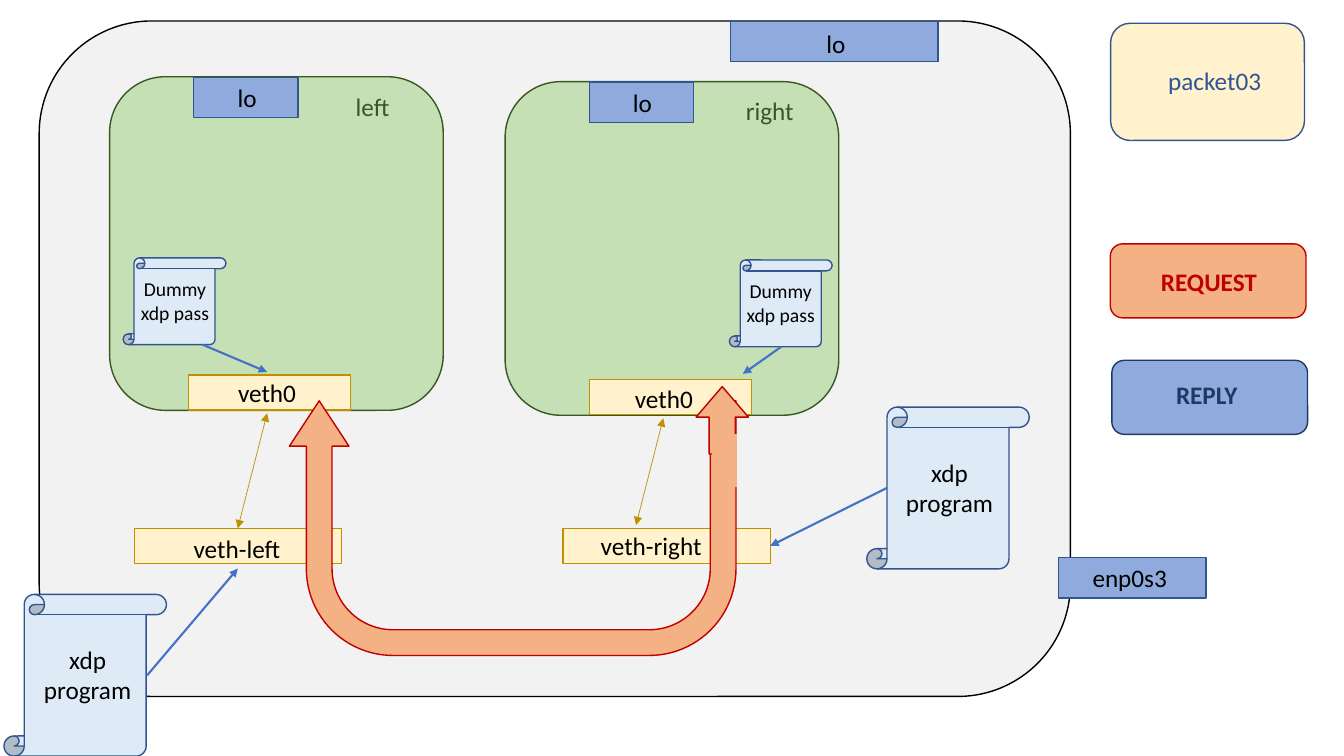
import pptx
import pptx.util
import pptx.dml.color
import pptx.enum.shapes
import pptx.enum.text
from lxml import etree

Pt = pptx.util.Pt
RGB = pptx.dml.color.RGBColor
MSO = pptx.enum.shapes.MSO_SHAPE
ALIGN = pptx.enum.text.PP_ALIGN
LEFT, CENTER = ALIGN.LEFT, ALIGN.CENTER

BLACK = RGB(0x00, 0x00, 0x00)
GREY = RGB(0xF2, 0xF2, 0xF2)
GREEN, DARK_GREEN = RGB(0xC5, 0xE0, 0xB4), RGB(0x38, 0x57, 0x23)
CREAM, GOLD = RGB(0xFF, 0xF2, 0xCC), RGB(0xBF, 0x90, 0x00)
BLUE, EDGE_BLUE = RGB(0x8F, 0xAA, 0xDC), RGB(0x32, 0x54, 0x91)
TEXT_BLUE, NAVY = RGB(0x2F, 0x55, 0x97), RGB(0x20, 0x38, 0x64)
PALE_BLUE, LINK_BLUE = RGB(0xDE, 0xEB, 0xF7), RGB(0x44, 0x72, 0xC4)
ORANGE, RED = RGB(0xF4, 0xB1, 0x83), RGB(0xC0, 0x00, 0x00)

# style: preset, fill, line, text colour, text size, bold, alignment
STYLES = {
    "host": (MSO.ROUNDED_RECTANGLE, GREY, BLACK, BLACK, 18, False, LEFT),
    "namespace": (MSO.ROUNDED_RECTANGLE, GREEN, DARK_GREEN, DARK_GREEN, 18, False, LEFT),
    "veth": (MSO.RECTANGLE, CREAM, GOLD, BLACK, 18, False, CENTER),
    "device": (MSO.RECTANGLE, BLUE, EDGE_BLUE, BLACK, 18, False, LEFT),
    "packet": (MSO.ROUNDED_RECTANGLE, CREAM, EDGE_BLUE, TEXT_BLUE, 18, False, CENTER),
    "request": (MSO.ROUNDED_RECTANGLE, ORANGE, RED, RED, 18, True, LEFT),
    "reply": (MSO.ROUNDED_RECTANGLE, BLUE, NAVY, NAVY, 18, True, LEFT),
    "program": (MSO.VERTICAL_SCROLL, PALE_BLUE, EDGE_BLUE, BLACK, 18, False, CENTER),
    "dummy": (MSO.VERTICAL_SCROLL, PALE_BLUE, EDGE_BLUE, BLACK, 14, False, CENTER),
}

PROGRAM, DUMMY = ("xdp", "program"), ("Dummy", "xdp pass")

# name, style, (left, top, width, height), text lines, text (left, top, width)
BOXES = [
    ("host", "host", (28, 15, 736.6, 482.5), (), None),
    ("left", "namespace", (78.3, 54.8, 238.3, 238.3), ("left",), (247, 62, 138.2)),
    ("left veth0", "veth", (134.7, 268, 115.7, 25), ("veth0",), (138.2, 265.8, 105.1)),
    ("veth-left", "veth", (95.9, 377.4, 147.9, 25), ("veth-left",), (108.7, 377.4, 121)),
    ("enp0s3", "device", (756.1, 398.4, 105.5, 28.8), ("enp0s3",), (773.3, 398.4, 71.3)),
    ("host lo", "device", (521.6, 15.3, 148.5, 28.8), ("lo",), (583.2, 16.7, 71.3)),
    ("left lo", "device", (138.4, 55.3, 74.4, 28.8), ("lo",), (162.7, 55.4, 41.8)),
    ("packet", "packet", (793.3, 16.6, 138.5, 83.7), ("packet03",), (810, 43.2, 115.2)),
    ("reply", "reply", (794.2, 257.4, 139.8, 52.9), ("REPLY",), (833, 267.4, 115.2)),
    ("request", "request", (793.1, 174.2, 139.8, 52.9), ("REQUEST",), (822.2, 186.5, 115.2)),
    ("right", "namespace", (360.8, 58.3, 238.3, 238.3), ("right",), (525.6, 64.3, 138.2)),
    ("right lo", "device", (421.1, 58.6, 74.4, 28.8), ("lo",), (445, 59, 41.8)),
    ("right veth0", "veth", (421.1, 271.2, 115.7, 25), ("veth0",), (412.6, 270, 123.1)),
    ("veth-right", "veth", (402.3, 377.4, 147.9, 25), ("veth-right",), (404.6, 375.1, 121)),
    ("right program", "program", (619.2, 290.8, 116, 115.5), PROGRAM, (635, 323.3, 86.4)),
    ("left dummy", "dummy", (88, 184.2, 73.4, 62), DUMMY, (92.2, 194.4, 65.5)),
    ("right dummy", "dummy", (521, 185.7, 73.4, 62), DUMMY, (524.9, 195.8, 65.5)),
    ("left program", "program", (2.9, 424.6, 116, 115.5), PROGRAM, (19.4, 456.5, 86.4)),
]

VETH_PAIR = (GOLD, 0.5, ("headEnd", "tailEnd"))
ATTACH = (LINK_BLUE, 1.5, ("tailEnd",))
# kind, from, to, (name of the box joined at the end, side)
LINKS = [
    (VETH_PAIR, (190.8, 295.2), (169.9, 377.4), ("veth-left", 0)),
    (VETH_PAIR, (473.8, 298.8), (454.3, 375.1), None),
    (ATTACH, (633.6, 348.5), (550.2, 389.9), ("veth-right", 3)),
    (ATTACH, (144.7, 246.2), (190.8, 265.7), None),
    (ATTACH, (558, 247.7), (530.6, 267.1), None),
    (ATTACH, (105.1, 482.4), (169.9, 406.1), None),
]

# preset, (left, top, width, height), rotation, adjustments, line
REQUEST_ROUTE = [
    (MSO.U_TURN_ARROW, (206.7, 286.3, 319, 181.9), 180, (0.101, 0.117, 0.178, 0.341, 1), RED),
    (MSO.RIGHT_ARROW, (491.8, 281.5, 48.2, 37.4), 270, (0.5, 0.583), RED),
    (MSO.FLOWCHART_PROCESS, (508.3, 310.3, 18, 37.4), 0, (), None),
]


def add_shape(s, preset, frame, fill, line):
    sp = s.shapes.add_shape(preset, *map(Pt, frame))
    sp.shadow.inherit = False
    sp.fill.solid()
    sp.fill.fore_color.rgb = fill
    if line is None:
        sp.line.fill.background()
    else:
        sp.line.color.rgb = line
        sp.line.width = Pt(1)
    return sp


def add_label(s, lines, place, color, size, bold, align):
    height = len(lines) * size * 1.2 + 7.2
    tf = s.shapes.add_textbox(*map(Pt, (*place, height))).text_frame
    tf.word_wrap = True
    font = {"name": "Calibri", "size": Pt(size), "bold": bold}
    for i, text in enumerate(lines):
        p = tf.add_paragraph() if i else tf.paragraphs[0]
        p.alignment = align
        r = p.add_run()
        r.text = text
        for key, value in font.items():
            setattr(r.font, key, value)
        r.font.color.rgb = color


def add_link(s, kind, start, end, joined, boxes):
    color, width, heads = kind
    link = s.shapes.add_connector(
        pptx.enum.shapes.MSO_CONNECTOR.STRAIGHT, *map(Pt, (*start, *end)))
    if joined:
        name, side = joined
        link.end_connect(boxes[name], side)
    link.line.color.rgb = color
    link.line.width = Pt(width)
    ln = link.line._get_or_add_ln()
    for head in heads:
        etree.SubElement(ln, pptx.oxml.ns.qn("a:" + head), type="triangle")
    etree.SubElement(link._element.spPr, pptx.oxml.ns.qn("a:effectLst"))


def main():
    prs = pptx.Presentation()
    prs.slide_width, prs.slide_height = Pt(960), Pt(540)
    s = prs.slides.add_slide(prs.slide_layouts[6])

    boxes = {}
    for name, style, frame, lines, place in BOXES:
        preset, fill, line, *text_format = STYLES[style]
        boxes[name] = add_shape(s, preset, frame, fill, line)
        if lines:
            add_label(s, lines, place, *text_format)

    for link in LINKS:
        add_link(s, *link, boxes)

    for preset, frame, rotation, adjustments, line in REQUEST_ROUTE:
        sp = add_shape(s, preset, frame, ORANGE, line)
        sp.rotation = rotation
        for i, value in enumerate(adjustments):
            sp.adjustments[i] = value

    prs.save("out.pptx")


if __name__ == "__main__":
    main()
